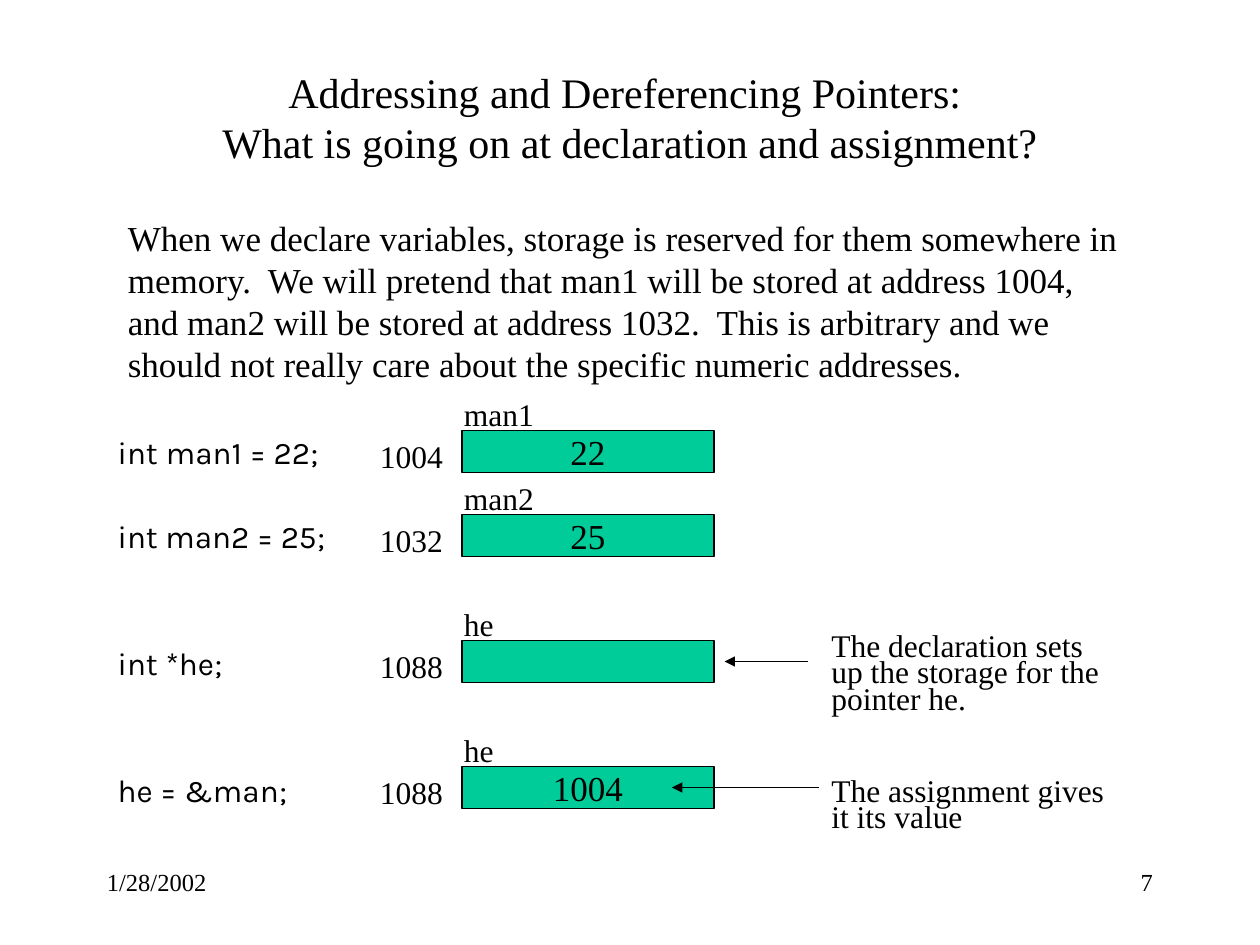
from lxml.etree import SubElement
from pptx import Presentation
from pptx.dml.color import RGBColor
from pptx.enum.shapes import MSO_CONNECTOR as Connector, MSO_SHAPE as Shape
from pptx.enum.text import MSO_ANCHOR as Anchor, MSO_AUTO_SIZE as AutoSize, PP_ALIGN as Align
from pptx.oxml.ns import qn
from pptx.util import Emu, Pt

SERIF = "Times New Roman"
BLACK = "000000"
GREEN = "00CC99"

TITLE = "Addressing and Dereferencing Pointers: \nWhat is going on at declaration and assignment?"
INTRO = (
    "When we declare variables, storage is reserved for them somewhere in "
    "memory.  We will pretend that man1 will be stored at address 1004, "
    "and man2 will be stored at address 1032.  This is arbitrary and we "
    "should not really care about the specific numeric addresses."
)
CODE = ["int\tman1 = 22;", "int man2 = 25;", "int\t*he;", "he = &man;"]
NOTES = ["The declaration sets up the storage for the pointer he.", "The assignment gives it its value"]
CELLS = [
    (410, "man1", "1004", "22"),
    (490, "man2", "1032", "25"),
    (610, "he", "1088", ""),
    (730, "he", "1088", "1004"),
]


def px(length):
    """Convert px, at 120 to the inch, into EMU."""
    return Emu(length * 7620)


def color(value):
    """Turn a hex string into a colour."""
    return RGBColor.from_string(value)


def place(shape, left, top, width, height):
    """Move and size a shape."""
    shape.left, shape.top, shape.width, shape.height = map(px, (left, top, width, height))


def write(shape, *texts, size=18, font=SERIF, align=Align.LEFT, anchor=Anchor.TOP,
          wrap=True, spacing=1.0, gaps=(), hanging=0):
    """Fill a shape with one formatted paragraph for each text."""
    frame = shape.text_frame
    frame.word_wrap = wrap
    frame.auto_size = AutoSize.NONE
    frame.vertical_anchor = anchor
    for index, text in enumerate(texts):
        paragraph = frame.add_paragraph() if index else frame.paragraphs[0]
        paragraph.text = text
        paragraph.alignment = align
        paragraph.line_spacing = spacing
        paragraph.space_before = Pt(gaps[index - 1] if index else 0)
        if hanging:
            properties = paragraph._p.get_or_add_pPr()
            properties.set("marL", str(px(hanging)))
            properties.set("indent", str(px(-hanging)))
            SubElement(properties, qn("a:buNone"))
        for run in paragraph.runs:
            run.font.name = font
            run.font.size = Pt(size)
            run.font.color.rgb = color(BLACK)


def add_text(slide, box, *texts, **style):
    """Add a text box."""
    write(slide.shapes.add_textbox(*map(px, box)), *texts, **style)


def add_title(slide, box):
    """Place the two-line title."""
    place(slide.shapes.title, *box)
    write(slide.shapes.title, TITLE, size=24, align=Align.CENTER, anchor=Anchor.MIDDLE)


def add_code(slide, box):
    """Place the code statements in the body placeholder."""
    body = slide.placeholders[1]
    place(body, *box)
    write(body, *CODE, font="Karla", spacing=0.9, gaps=(29, 53, 53), hanging=46)


def add_cell(slide, box, name, address, value):
    """Draw a memory cell with its name above and its address to the left."""
    left, top, width, height = box
    cell = slide.shapes.add_shape(Shape.RECTANGLE, *map(px, box))
    cell.shadow.inherit = False
    cell.fill.solid()
    cell.fill.fore_color.rgb = color(GREEN)
    cell.line.color.rgb = color(BLACK)
    cell.line.width = Pt(0.75)
    if value:
        write(cell, value, size=20, align=Align.CENTER, anchor=Anchor.MIDDLE, wrap=False)
    add_text(slide, (left - 90, top, 84, 48), address, wrap=False)
    add_text(slide, (left - 10, top - height, 170, 48), name)


def add_arrow(slide, start, end, y):
    """Draw a horizontal arrow that points at end."""
    arrow = slide.shapes.add_connector(Connector.STRAIGHT, px(start), px(y), px(end), px(y))
    arrow.line.color.rgb = color(BLACK)
    arrow.line.width = Pt(0.75)
    SubElement(arrow.line._get_or_add_ln(), qn("a:tailEnd"), type="triangle")
    SubElement(arrow._element.spPr, qn("a:effectLst"))


def add_notes(slide, box):
    """Place the two remarks and the arrows to the pointer cells."""
    left, top, width, height = box
    add_text(slide, box, *NOTES, spacing=0.7, gaps=(37.5,))
    add_arrow(slide, left - 10, left - 90, top + 30)
    add_arrow(slide, left, left - 140, top + 150)


def add_footer(slide, box):
    """Place the date and the page number at the two ends of the box."""
    left, top, width, height = box
    field = 250
    add_text(slide, (left, top, field, height), "1/28/2002", size=14)
    add_text(slide, (left + width - field, top, field, height), "7", size=14, align=Align.RIGHT)


def main():
    """Build and save the slide."""
    presentation = Presentation()
    presentation.slide_width, presentation.slide_height = px(1200), px(900)
    slide = presentation.slides.add_slide(presentation.slide_layouts[1])
    add_title(slide, (90, 80, 1020, 62))
    add_text(slide, (110, 200, 970, 173), INTRO, size=20)
    add_code(slide, (100, 410, 260, 380))
    for top, name, address, value in CELLS:
        add_cell(slide, (440, top, 240, 40), name, address, value)
    add_notes(slide, (780, 600, 287, 230))
    add_footer(slide, (90, 820, 1020, 60))
    presentation.save("out.pptx")


if __name__ == "__main__":
    main()
